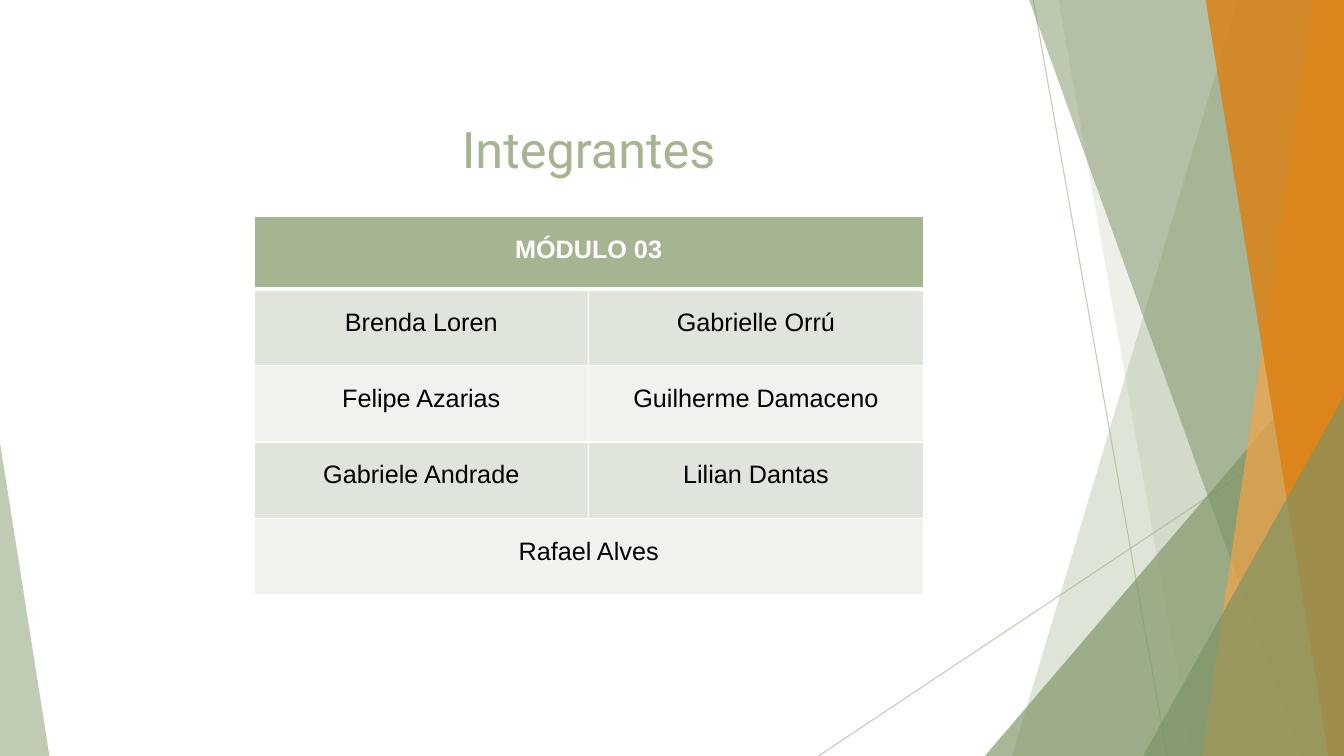
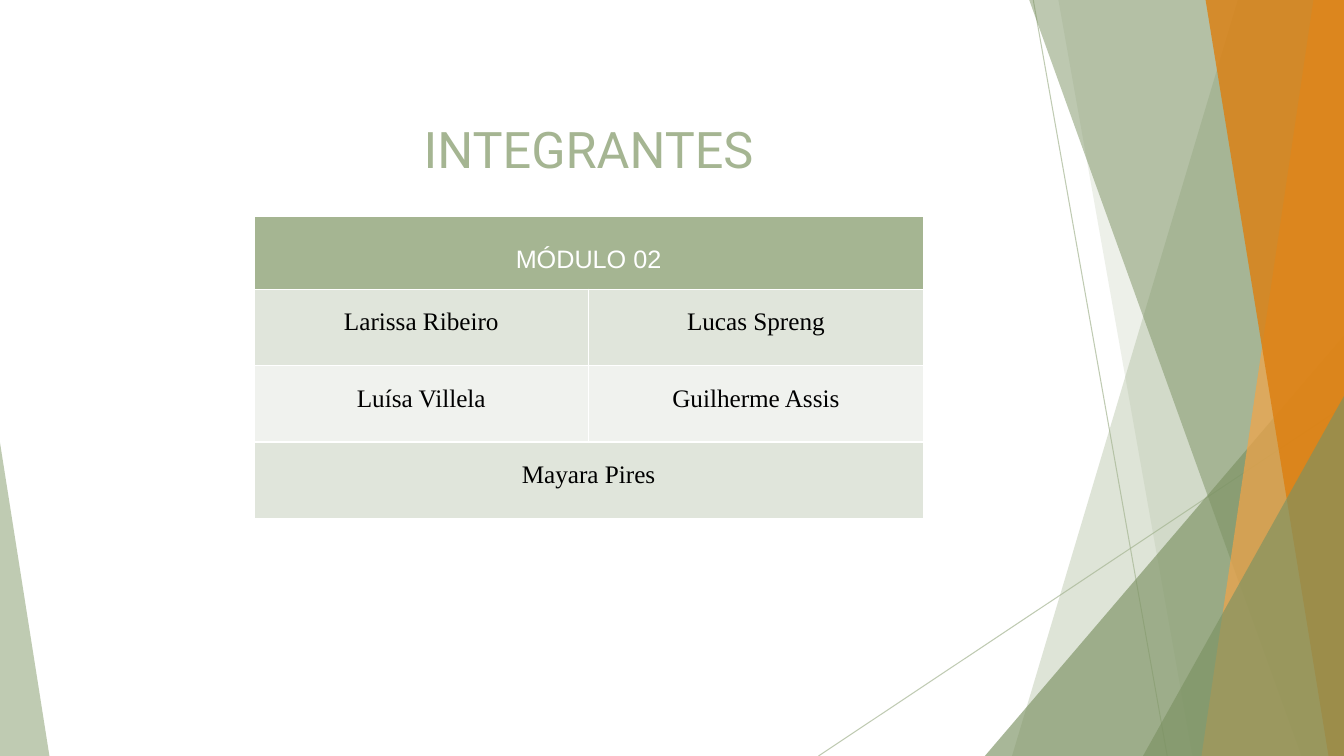
from dataclasses import dataclass

import pptx
import pptx.dml.color
import pptx.enum.shapes
import pptx.enum.text
import pptx.oxml.ns
import pptx.presentation
import pptx.shapes.base
import pptx.slide
import pptx.table
import pptx.util
from lxml import etree

SLIDE_WIDTH = pptx.util.Inches(13.33)
SLIDE_HEIGHT = pptx.util.Inches(7.5)

# Shared colours and fonts
SAGE, MOSS, AMBER, ORANGE = "A5B592", "7C9263", "F3A447", "DD7E0E"
WHITE, BLACK = "FFFFFF", "000000"
ROW_TINTS = ("E0E5DB", "F0F2EE")
TITLE_FONT, HEADER_FONT = "Roboto", "Arial"

# Lengths are percentages of the slide's width or height
TABLE_LEFT, TABLE_TOP, TABLE_WIDTH = 18.9, 28.67, 49.8
HEADER_HEIGHT, ROW_HEIGHT = 9.6, 10.1
TITLE_TOP, TITLE_WIDTH, TITLE_HEIGHT = 14.93, 96.1, 9.47
TITLE_LEFT = TABLE_LEFT + (TABLE_WIDTH - TITLE_WIDTH) / 2
COLUMNS = 2


@dataclass(frozen=True)
class Ray:
    """A thin line across the decoration."""
    x1: float
    y1: float
    x2: float
    y2: float


@dataclass(frozen=True)
class Band:
    """A full-height band from a slanted edge to the right of the slide."""
    top_x: float
    bottom_x: float
    color: str
    opacity: int


@dataclass(frozen=True)
class Wedge:
    """A right triangle standing on the bottom of the slide."""
    left: float
    right: float
    top: float
    apex: float
    color: str
    opacity: int


@dataclass(frozen=True)
class Team:
    title: str
    module: str
    members: tuple[tuple[str, ...], ...]
    member_font: str
    header_bold: bool
    header_anchor: pptx.enum.text.MSO_ANCHOR
    header_rule: float


DECORATION = (
    Ray(76.88, 0, 86.85, 100),
    Ray(100, 53.73, 60.9, 100),
    Band(92.1, 75.3, SAGE, 36),
    Band(78.75, 88.73, SAGE, 20),
    Wedge(73.28, 100, 44.4, 1, MOSS, 66),
    Band(76.58, 96.83, MOSS, 50),
    Band(97.73, 89.4, AMBER, 70),
    Band(89.7, 98.85, ORANGE, 80),
    Wedge(85.05, 100, 52.4, 1, MOSS, 66),
    Wedge(0, 3.68, 58.53, 0, SAGE, 70),
)

TEAMS = (
    Team(
        "Integrantes", "MÓDULO 03",
        (("Brenda Loren", "Gabrielle Orrú"),
         ("Felipe Azarias", "Guilherme Damaceno"),
         ("Gabriele Andrade", "Lilian Dantas"),
         ("Rafael Alves",)),
        "Arial", True, pptx.enum.text.MSO_ANCHOR.TOP, 3,
    ),
    Team(
        "INTEGRANTES", "MÓDULO 02",
        (("Larissa Ribeiro", "Lucas Spreng"),
         ("Luísa Villela", "Guilherme Assis"),
         ("Mayara Pires",)),
        "Times New Roman", False, pptx.enum.text.MSO_ANCHOR.MIDDLE, 1,
    ),
)


def across(share: float) -> int:
    return round(SLIDE_WIDTH * share / 100)


def down(share: float) -> int:
    return round(SLIDE_HEIGHT * share / 100)


def rgb(color: str) -> pptx.dml.color.RGBColor:
    return pptx.dml.color.RGBColor.from_string(color)


def set_opacity(shape: pptx.shapes.base.BaseShape, percent: int) -> None:
    for color in shape.element.xpath(".//a:solidFill/a:srgbClr"):
        alpha = etree.SubElement(color, pptx.oxml.ns.qn("a:alpha"))
        alpha.set("val", str(percent * 1000))


def format_text(frame, size: int, font: str, color: str, bold: bool = False) -> None:
    for paragraph in frame.paragraphs:
        paragraph.alignment = pptx.enum.text.PP_ALIGN.CENTER
        for run in paragraph.runs:
            run.font.size = pptx.util.Pt(size)
            run.font.name = font
            run.font.bold = bold
            run.font.color.rgb = rgb(color)


# Decoration
def draw_ray(slide: pptx.slide.Slide, ray: Ray) -> pptx.shapes.base.BaseShape:
    line = slide.shapes.add_connector(
        pptx.enum.shapes.MSO_CONNECTOR.STRAIGHT,
        across(ray.x1), down(ray.y1), across(ray.x2), down(ray.y2))
    line.line.color.rgb = rgb(SAGE)
    line.line.width = pptx.util.Pt(0.75)
    etree.SubElement(line.element.spPr, pptx.oxml.ns.qn("a:effectLst"))
    set_opacity(line, 70)
    return line


def draw_facet(slide: pptx.slide.Slide, facet: Band | Wedge) -> pptx.shapes.base.BaseShape:
    if isinstance(facet, Band):
        outline = slide.shapes.build_freeform(across(facet.top_x), 0, scale=1.0)
        outline.add_line_segments(
            [(SLIDE_WIDTH, 0), (SLIDE_WIDTH, SLIDE_HEIGHT),
             (across(facet.bottom_x), SLIDE_HEIGHT)], close=True)
        shape = outline.convert_to_shape()
    else:
        shape = slide.shapes.add_shape(
            pptx.enum.shapes.MSO_SHAPE.ISOSCELES_TRIANGLE,
            across(facet.left), down(facet.top),
            across(facet.right - facet.left), down(100 - facet.top))
        shape.adjustments[0] = facet.apex
    shape.shadow.inherit = False
    shape.fill.solid()
    shape.fill.fore_color.rgb = rgb(facet.color)
    shape.line.fill.background()
    set_opacity(shape, facet.opacity)
    return shape


def decorate_layout(layout: pptx.slide.SlideLayout, slide: pptx.slide.Slide) -> None:
    """Draw the decoration on a slide and move it behind the layout's placeholders."""
    for index, part in enumerate(DECORATION):
        draw = draw_ray if isinstance(part, Ray) else draw_facet
        element = draw(slide, part).element
        element.xpath(".//p:cNvPr")[0].set("id", str(100 + index))
        layout.shapes.element.insert(2 + index, element)


# Title and table
def write_title(slide: pptx.slide.Slide, text: str) -> None:
    title = slide.shapes.title
    title.left, title.top = across(TITLE_LEFT), down(TITLE_TOP)
    title.width, title.height = across(TITLE_WIDTH), down(TITLE_HEIGHT)
    frame = title.text_frame
    frame.text = text
    frame.auto_size = pptx.enum.text.MSO_AUTO_SIZE.NONE
    frame.vertical_anchor = pptx.enum.text.MSO_ANCHOR.MIDDLE
    format_text(frame, 36, TITLE_FONT, SAGE)


def style_cell(cell: pptx.table._Cell, color: str, top_rule: float, bottom_rule: float) -> None:
    properties = cell._tc.get_or_add_tcPr()
    for side, width in (("L", 1), ("R", 1), ("T", top_rule), ("B", bottom_rule)):
        border = etree.SubElement(properties, pptx.oxml.ns.qn(f"a:ln{side}"))
        border.set("w", str(pptx.util.Pt(width)))
        fill = etree.SubElement(border, pptx.oxml.ns.qn("a:solidFill"))
        etree.SubElement(fill, pptx.oxml.ns.qn("a:srgbClr")).set("val", WHITE)
    cell.fill.solid()
    cell.fill.fore_color.rgb = rgb(color)


def draw_members(slide: pptx.slide.Slide, team: Team) -> None:
    rows = ((team.module,), *team.members)
    height = HEADER_HEIGHT + ROW_HEIGHT * len(team.members)
    members = slide.shapes.add_table(
        len(rows), COLUMNS, across(TABLE_LEFT), down(TABLE_TOP),
        across(TABLE_WIDTH), down(height)).table
    members.first_row = members.horz_banding = False

    for r, names in enumerate(rows):
        is_header = r == 0
        members.rows[r].height = down(HEADER_HEIGHT if is_header else ROW_HEIGHT)
        for c in range(COLUMNS):
            style_cell(
                members.cell(r, c),
                SAGE if is_header else ROW_TINTS[(r - 1) % len(ROW_TINTS)],
                top_rule=team.header_rule if r == 1 else 1,
                bottom_rule=team.header_rule if is_header else 1)
        if len(names) == 1:
            members.cell(r, 0).merge(members.cell(r, COLUMNS - 1))
        for c, name in enumerate(names):
            cell = members.cell(r, c)
            cell.text_frame.text = name
            cell.text_frame.paragraphs[0].line_spacing = 1.5
            if is_header:
                cell.vertical_anchor = team.header_anchor
                format_text(cell.text_frame, 18, HEADER_FONT, WHITE, team.header_bold)
            else:
                format_text(cell.text_frame, 18, team.member_font, BLACK)


def main() -> None:
    deck = pptx.Presentation()
    deck.slide_width, deck.slide_height = SLIDE_WIDTH, SLIDE_HEIGHT
    title_only = deck.slide_layouts[5]
    for index, team in enumerate(TEAMS):
        slide = deck.slides.add_slide(title_only)
        if index == 0:
            decorate_layout(title_only, slide)
        write_title(slide, team.title)
        draw_members(slide, team)
    deck.save("out.pptx")


if __name__ == "__main__":
    main()
